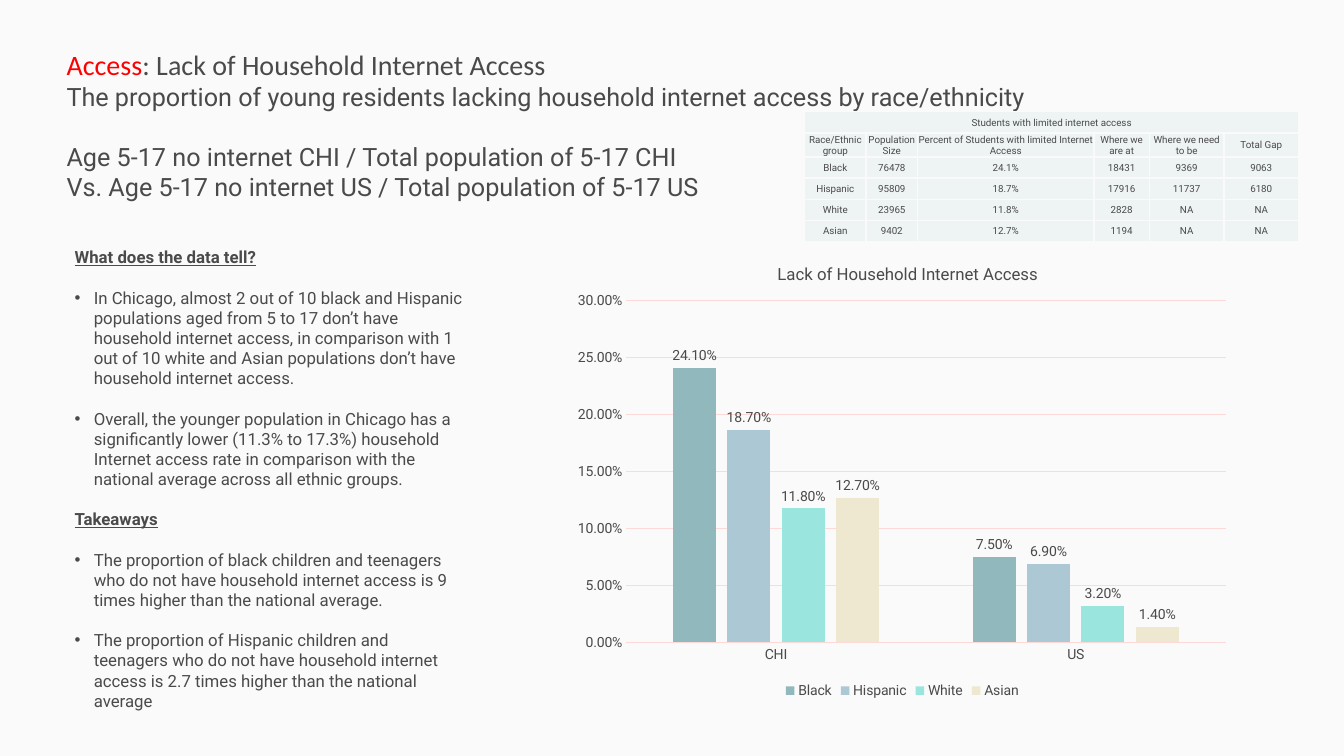
from lxml import etree
from pptx import Presentation
from pptx.chart.data import CategoryChartData
from pptx.dml.color import RGBColor
from pptx.enum.chart import XL_CHART_TYPE, XL_LABEL_POSITION, XL_LEGEND_POSITION, XL_TICK_MARK
from pptx.enum.text import MSO_ANCHOR, MSO_AUTO_SIZE, PP_ALIGN
from pptx.oxml import parse_xml
from pptx.oxml.ns import nsdecls, qn
from pptx.util import Inches, Pt

INK, PAPER, GRID, CELL = "4A4A4A", "FAFAFA", "FDD9D8", "EEF3F4"


def set_font(font, size, color=INK, name="Roboto", bold=False):
    """Set the size, hex colour, typeface and weight of a font."""
    font.size, font.name, font.bold = Pt(size), name, bold
    font.color.rgb = RGBColor.from_string(color)


def manual_layout(**values):
    """Return a chart layout element whose values are fractions of the chart."""
    target = '<c:layoutTarget val="inner"/>' if "w" in values else ""
    modes = '<c:xMode val="edge"/><c:yMode val="edge"/>'
    places = "".join(f'<c:{key} val="{value}"/>' for key, value in values.items())
    return parse_xml(f'<c:layout {nsdecls("c")}><c:manualLayout>{target}{modes}{places}'
                     '</c:manualLayout></c:layout>')


prs = Presentation()
prs.slide_width, prs.slide_height = Inches(13.33), Inches(7.5)
slide = prs.slides.add_slide(prs.slide_layouts[1])
slide.background.fill.solid()
slide.background.fill.fore_color.rgb = RGBColor.from_string(PAPER)
title, body = slide.placeholders

for holder, box in [(title, (0.56, 0.42, 12.22, 1.65)), (body, (0.64, 2.4, 4.06, 4.54))]:
    holder.left, holder.top, holder.width, holder.height = map(Inches, box)
    holder.text_frame.word_wrap = True
    holder.text_frame.auto_size = MSO_AUTO_SIZE.NONE
    holder.text_frame.vertical_anchor = MSO_ANCHOR.TOP

# Title: each paragraph is a space before and its runs (text, size, colour, typeface)
title_lines = [
    (0, [("Access", 20, "FF0000", "Calibri"),
         (": Lack of Household Internet Access", 20, INK, "Calibri")]),
    (0, [("The proportion of young residents lacking household internet access "
          "by race/ethnicity", 18, INK, "Roboto")]),
    (21.6, [("Age 5-17 no internet CHI / Total population of 5-17 CHI", 18, INK, "Roboto")]),
    (0, [("Vs. Age 5-17 no internet US / Total population of 5-17 US", 18, INK, "Roboto")]),
]
for i, (space, runs) in enumerate(title_lines):
    para = title.text_frame.paragraphs[0] if i == 0 else title.text_frame.add_paragraph()
    para.alignment, para.space_before = PP_ALIGN.LEFT, Pt(space)
    for text, size, color, name in runs:
        run = para.add_run()
        run.text = text
        set_font(run.font, size, color, name)

# Findings: headings and bullets
findings = [
    ("heading", "What does the data tell?"),
    ("bullet", "In Chicago, almost 2 out of 10 black and Hispanic populations aged from 5 to 17 "
               "don’t have household internet access, in comparison with 1 out of 10 white and "
               "Asian populations don’t have household internet access."),
    ("bullet", "Overall, the younger population in Chicago has a significantly lower "
               "(11.3% to 17.3%) household Internet access rate in comparison with the "
               "national average across all ethnic groups."),
    ("heading", "Takeaways"),
    ("bullet", "The proportion of black children and teenagers who do not have household "
               "internet access is 9 times higher than the national average."),
    ("bullet", "The proportion of Hispanic children and teenagers who do not have household "
               "internet access is 2.7 times higher than the national average"),
]
for i, (kind, text) in enumerate(findings):
    para = body.text_frame.paragraphs[0] if i == 0 else body.text_frame.add_paragraph()
    para.alignment, para.space_before = PP_ALIGN.LEFT, Pt(14.4 if i else 0)
    run = para.add_run()
    run.text = text
    heading = kind == "heading"
    set_font(run.font, 12, bold=heading)
    run.font.underline = heading
    props = para._p.get_or_add_pPr()
    indent = 0 if heading else Inches(0.19)
    props.set("marL", str(indent))
    props.set("indent", str(-indent))
    if heading:
        etree.SubElement(props, qn("a:buNone"))
    else:
        etree.SubElement(props, qn("a:buFont"), typeface="Arial")
        etree.SubElement(props, qn("a:buChar"), char="•")

# Chart
series_values = {
    "Black": ("91B8BD", (0.241, 0.075)),
    "Hispanic": ("ACC8D4", (0.187, 0.069)),
    "White": ("9AE5DE", (0.118, 0.032)),
    "Asian": ("EFE8D1", (0.127, 0.014)),
}
data = CategoryChartData(number_format="0.00%")
data.categories = ["CHI", "US"]
for name, (color, values) in series_values.items():
    data.add_series(name, values)
chart = slide.shapes.add_chart(XL_CHART_TYPE.COLUMN_CLUSTERED, Inches(5.61), Inches(2.39),
                               Inches(6.68), Inches(4.58), data).chart
set_font(chart.font, 10)

chart.has_title = True
chart_title = chart.chart_title
chart_title.include_in_layout = False
chart_title.text_frame.text = "Lack of Household Internet Access"
set_font(chart_title.text_frame.paragraphs[0].runs[0].font, 12)
plot_area = chart._chartSpace.chart.plotArea
for element in (chart_title._element, plot_area):
    for old in element.findall(qn("c:layout")):
        element.remove(old)
chart_title._element.find(qn("c:tx")).addnext(manual_layout(x=0.31, y=0.04))
plot_area.insert(0, manual_layout(x=0.09, y=0.13, w=0.89, h=0.74))

chart.has_legend = True
chart.legend.position = XL_LEGEND_POSITION.BOTTOM
chart.legend.include_in_layout = False
set_font(chart.legend.font, 10)

plot = chart.plots[0]
plot.gap_width, plot.overlap, plot.vary_by_categories = 219, -27, False
for series in plot.series:
    series.format.fill.solid()
    series.format.fill.fore_color.rgb = RGBColor.from_string(series_values[series.name][0])
    labels = series.data_labels
    labels.show_value, labels.position = True, XL_LABEL_POSITION.OUTSIDE_END
    labels.number_format, labels.number_format_is_linked = "0.00%", False
    set_font(labels.font, 10)

value_axis, category_axis = chart.value_axis, chart.category_axis
for axis in (value_axis, category_axis):
    axis.major_tick_mark = axis.minor_tick_mark = XL_TICK_MARK.NONE
    set_font(axis.tick_labels.font, 10)
value_axis.minimum_scale, value_axis.maximum_scale, value_axis.major_unit = 0, 0.3, 0.05
value_axis.tick_labels.number_format = "0.00%"
value_axis.tick_labels.number_format_is_linked = False
value_axis.format.line.fill.background()
for line in (value_axis.major_gridlines.format.line, category_axis.format.line):
    line.width = Pt(0.75)
    line.color.rgb = RGBColor.from_string(GRID)

# Table
rows = [
    ["Students with limited internet access", "", "", "", "", ""],
    ["Race/Ethnic group", "Population Size", "Percent of Students with limited Internet Access",
     "Where we are at", "Where we need to be", "Total Gap"],
    ["Black", "76478", "24.1%", "18431", "9369", "9063"],
    ["Hispanic", "95809", "18.7%", "17916", "11737", "6180"],
    ["White", "23965", "11.8%", "2828", "NA", "NA"],
    ["Asian", "9402", "12.7%", "1194", "NA", "NA"],
]
table = slide.shapes.add_table(len(rows), len(rows[0]), Inches(7.98), Inches(1.11),
                               Inches(4.9), Inches(1.26)).table
table.first_row = table.horz_banding = False
for column, width in zip(table.columns, (0.61, 0.51, 1.75, 0.55, 0.74, 0.74)):
    column.width = Inches(width)
for row, texts in zip(table.rows, rows):
    row.height = Inches(0.21)
    for cell, text in zip(row.cells, texts):
        cell.text = text
        cell.vertical_anchor = MSO_ANCHOR.MIDDLE
        cell.margin_left = cell.margin_right = cell.margin_top = Inches(0.01)
        cell.margin_bottom = 0
        para = cell.text_frame.paragraphs[0]
        para.alignment = PP_ALIGN.CENTER
        set_font(para.font, 7)
        cell.fill.solid()
        cell.fill.fore_color.rgb = RGBColor.from_string(CELL)
        for i, side in enumerate(("lnL", "lnR", "lnT", "lnB")):
            cell._tc.get_or_add_tcPr().insert(i, parse_xml(
                f'<a:{side} {nsdecls("a")} w="12700"><a:solidFill><a:srgbClr val="{PAPER}"/>'
                f'</a:solidFill></a:{side}>'))
table.cell(0, 0).merge(table.cell(0, 5))

prs.save("out.pptx")
